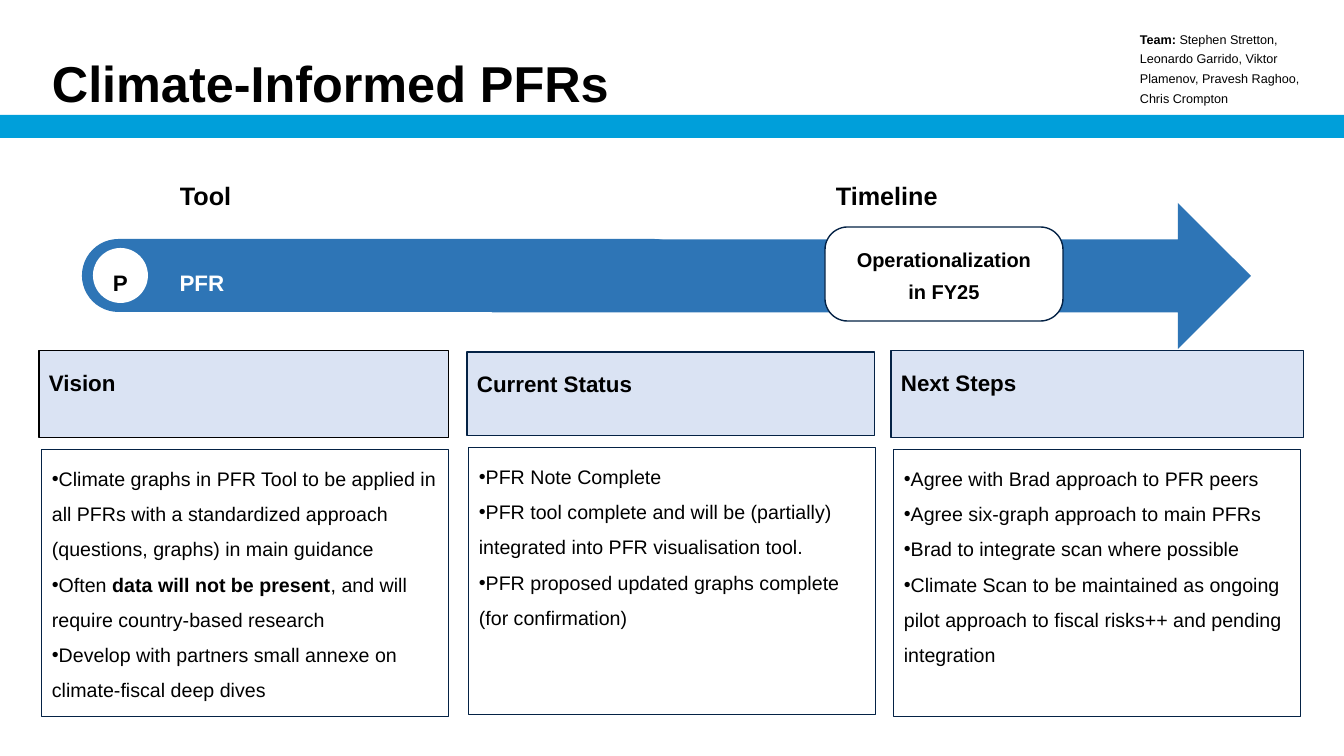
from pptx import Presentation
from pptx.util import Emu, Pt
from pptx.dml.color import RGBColor
from pptx.enum.shapes import MSO_SHAPE as Kind
from pptx.enum.text import MSO_ANCHOR as Anchor, PP_ALIGN as Align
from pptx.oxml.ns import qn
from lxml.etree import SubElement

PX = 914400 / 100.8
NAVY, BLUE, PALE = "042245", "2E75B6", "DAE3F3"


def px(n):
    return Emu(round(n * PX))


def color(code):
    return RGBColor.from_string(code)


prs = Presentation()
prs.slide_width, prs.slide_height = px(1344), px(756)
slide = prs.slides.add_slide(prs.slide_layouts[6])


def draw(kind, x, y, w, h, fill=None, line=None, weight=0.75):
    shape = slide.shapes.add_shape(kind, px(x), px(y), px(w), px(h))
    shape.shadow.inherit = False
    if fill:
        shape.fill.solid()
        shape.fill.fore_color.rgb = color(fill)
    else:
        shape.fill.background()
    if line:
        shape.line.color.rgb = color(line)
        shape.line.width = Pt(weight)
    else:
        shape.line.fill.background()
    return shape


def write(shape, texts, size, space=1.5, bold=True, ink="000000",
          align=Align.LEFT, anchor=Anchor.TOP, bullet=False):
    """Fill a shape with paragraphs; ** switches bold on and off."""
    frame = shape.text_frame
    frame.word_wrap = True
    frame.vertical_anchor = anchor
    for i, text in enumerate(texts):
        para = frame.add_paragraph() if i else frame.paragraphs[0]
        para.alignment = align
        para.line_spacing = space
        if bullet:
            props = para._p.get_or_add_pPr()
            props.set("marL", "0")
            props.set("indent", "-228600")
            SubElement(props, qn("a:buFont"), typeface="Arial")
            SubElement(props, qn("a:buChar"), char="•")
        font = para.font
        font.name, font.size, font.bold = "Arial", Pt(size), bold
        font.color.rgb = color(ink)
        for j, part in enumerate(text.split("**")):
            if part:
                run = para.add_run()
                run.text = part
                run.font.name, run.font.size = "Arial", Pt(size)
                run.font.bold = bold or j % 2 == 1
                run.font.color.rgb = color(ink)
    return frame


# Title band
draw(Kind.RECTANGLE, 0, 115, 1346, 23, "009FDA")

# Arrow with tool name, badge and timeline
bar = draw(Kind.ROUNDED_RECTANGLE, 82, 239, 609, 73, BLUE)
bar.adjustments[0] = 0.5
frame = write(bar, ["PFR"], 16, ink="FFFFFF", anchor=Anchor.MIDDLE)
frame.margin_left = px(87)
draw(Kind.RIGHT_ARROW, 492, 203, 759, 146, BLUE)

badge = draw(Kind.OVAL, 93, 248, 55, 55, "FFFFFF")
frame = write(badge, ["P"], 16, align=Align.CENTER, anchor=Anchor.MIDDLE)
frame.margin_left = frame.margin_right = 0
frame.margin_top = frame.margin_bottom = 0

date = draw(Kind.ROUNDED_RECTANGLE, 825, 227, 238, 94, "FFFFFF", NAVY, 1)
date.adjustments[0] = 0.24
frame = write(date, ["Operationalization in FY25"], 14.3, 1.3,
              align=Align.CENTER, anchor=Anchor.MIDDLE)
frame.margin_left = frame.margin_right = px(20)
frame.margin_top, frame.margin_bottom = 0, px(4)

# Title, team and arrow labels
labels = [
    (42, 47, 1258, 64, "Climate-Informed PFRs", 36, 1, True),
    (1130, 13, 184, 107, "**Team: **Stephen Stretton, Leonardo Garrido, "
     "Viktor Plamenov, Pravesh Raghoo, Chris Crompton", 9, 1.3, False),
    (170, 160, 223, 58, "Tool", 18, 1.5, True),
    (826, 160, 223, 58, "Timeline", 18, 1.5, True),
]
for x, y, w, h, text, size, space, bold in labels:
    label = slide.shapes.add_textbox(px(x), px(y), px(w), px(h))
    write(label, [text], size, space, bold,
          anchor=Anchor.TOP if bold else Anchor.MIDDLE)

# Three columns: heading box over bullet box
columns = [
    ("Vision", (39, 351, 410, 87), "000000", (42, 450), [
        "Climate graphs in PFR Tool to be applied in all PFRs with a "
        "standardized approach (questions, graphs) in main guidance",
        "Often **data will not be present**, and will require "
        "country-based research",
        "Develop with partners small annexe on climate-fiscal deep dives"]),
    ("Current Status", (467, 352, 408, 84), NAVY, (469, 448), [
        "PFR Note Complete",
        "PFR tool complete and will be (partially) integrated into PFR "
        "visualisation tool.",
        "PFR proposed updated graphs complete (for confirmation)"]),
    ("Next Steps", (891, 351, 413, 87), NAVY, (894, 450), [
        "Agree with Brad approach to PFR peers",
        "Agree six-graph approach to main PFRs",
        "Brad to integrate scan where possible",
        "Climate Scan to be maintained as ongoing pilot approach to "
        "fiscal risks++ and pending integration"]),
]
for name, place, edge, spot, points in columns:
    head = draw(Kind.RECTANGLE, *place, PALE, edge)
    write(head, [name], 16)
    body = draw(Kind.RECTANGLE, *spot, 407, 267, None, NAVY)
    write(body, points, 14, bold=False, bullet=True)

prs.save("out.pptx")
